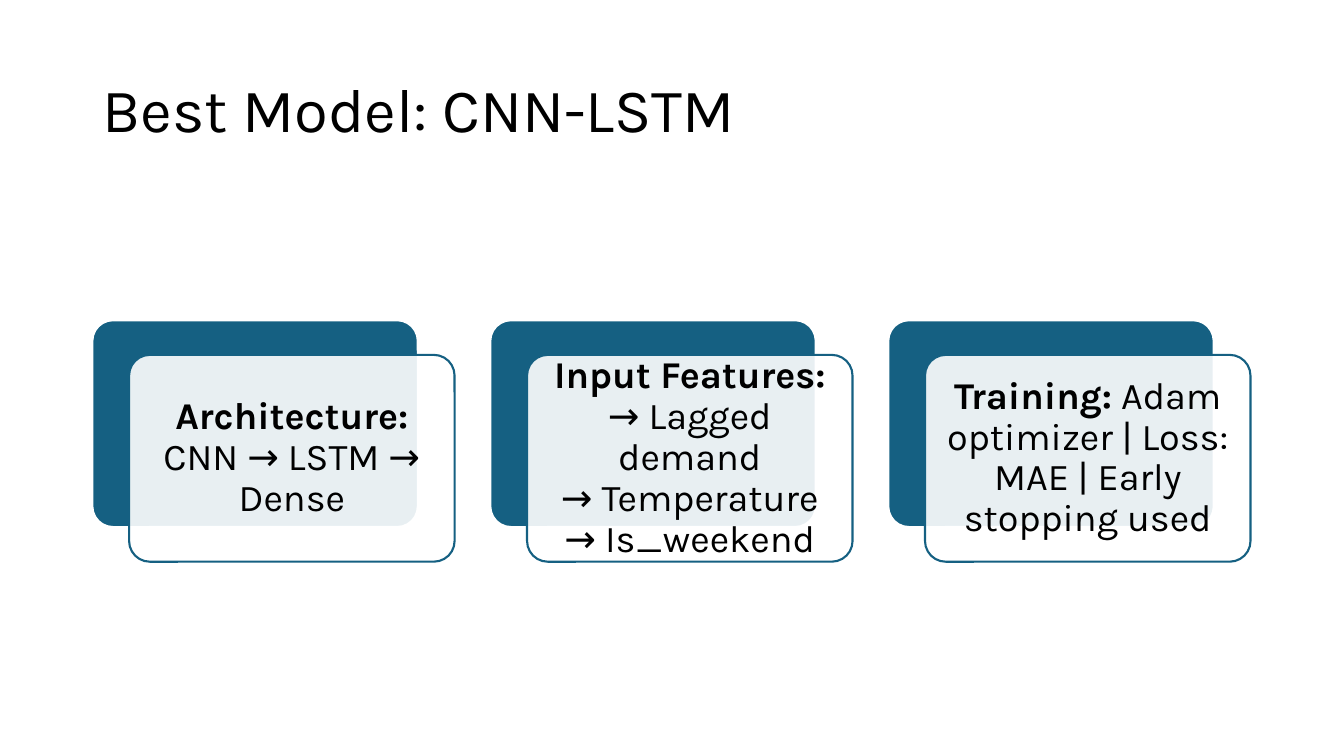
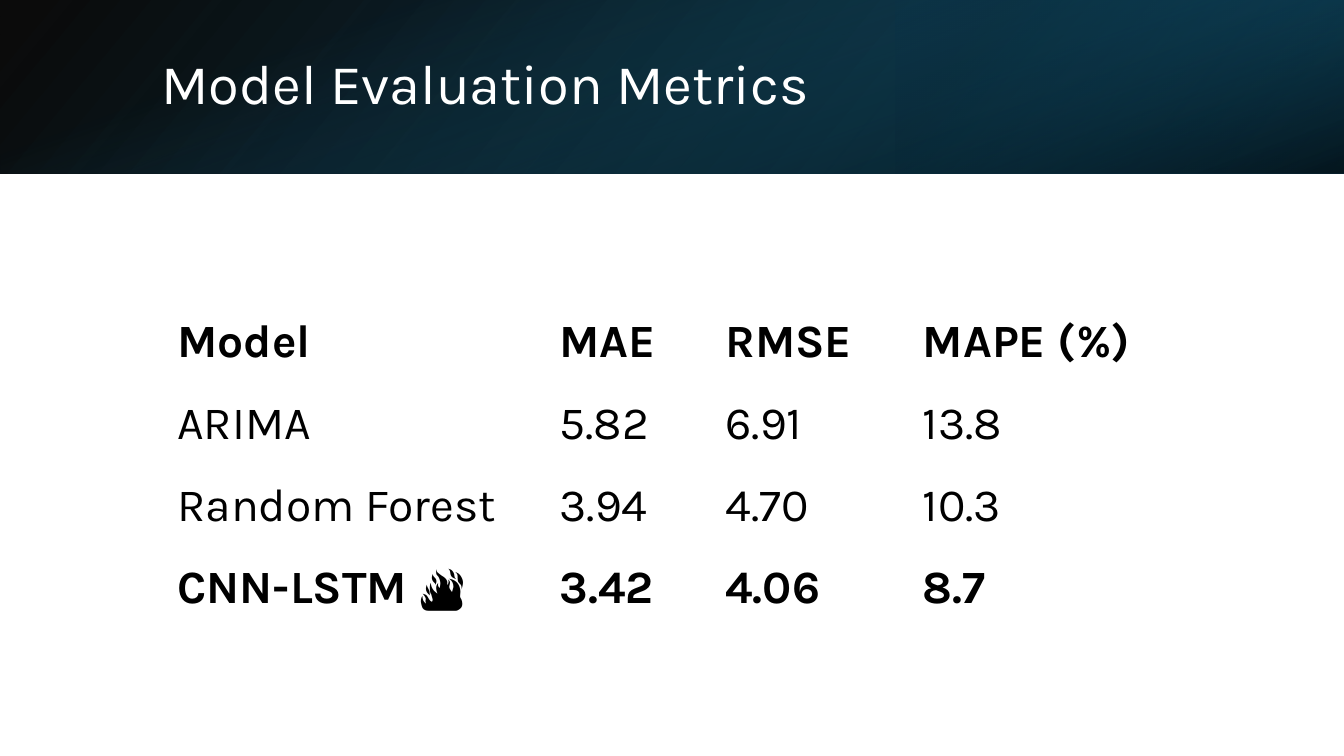
"""Build two slides on a forecasting model: its design cards and its metrics table."""
from lxml.etree import SubElement as Sub
from pptx import Presentation
from pptx.dml.color import RGBColor as Rgb
from pptx.enum.shapes import MSO_SHAPE as Shape
from pptx.enum.text import MSO_ANCHOR as Anchor, MSO_AUTO_SIZE as Fit, PP_ALIGN as Align
from pptx.oxml.ns import qn
from pptx.util import Pt

PX = 9525
WIDE, HIGH = 1280, 720
FONT = "Karla"
HUE = {"ink": "000000", "paper": "FFFFFF", "blue": "156082",
       "navy": "104862", "deep": "0B3041"}

CARDS = [
    [("Architecture:", True), (" CNN → LSTM → Dense", False)],
    [("Input Features:\n", True),
     ("→ Lagged demand\n→ Temperature\n→ Is_weekend", False)],
    [("Training:", True),
     (" Adam optimizer | Loss: MAE | Early stopping used", False)],
]
CARD = {"left": 88, "top": 305, "wide": 310, "high": 197,
        "step": 379, "dx": 35, "dy": 33}

BAND = 165
BANDS = [
    {"box": (0, 0, WIDE, BAND), "turn": 0, "flip": True, "angle": 140,
     "stops": [(0, "ink", 96), (100, "navy", 100)]},
    {"box": (853, 0, 427, BAND), "turn": 180, "flip": True, "angle": 320,
     "stops": [(19, "deep", 68), (100, "blue", 79)]},
    {"box": ((WIDE - BAND) / 2, (BAND - WIDE) / 2, BAND, WIDE), "turn": 90,
     "flip": False, "angle": 340,
     "stops": [(23, "blue", 0), (99, "ink", 74)]},
]

ROWS = [
    ("Model", "MAE", "RMSE", "MAPE (%)"),
    ("ARIMA", "5.82", "6.91", "13.8"),
    ("Random Forest", "3.94", "4.70", "10.3"),
    ("CNN-LSTM 🔥", "3.42", "4.06", "8.7"),
]
STRONG = {0, len(ROWS) - 1}
COLS = [364, 158, 188, 269]
ROW = 78


def px(*nums):
    return [int(num * PX) for num in nums]


def color(name):
    return Rgb.from_string(HUE[name])


def style(para, size, hue="ink", bold=None):
    font = para.font
    font.name, font.size, font.bold = FONT, Pt(size), bold
    font.color.rgb = color(hue)


def pad(item, side, edge):
    item.margin_left, item.margin_right = px(side, side)
    item.margin_top, item.margin_bottom = px(edge, edge)
    item.vertical_anchor = Anchor.MIDDLE


def head(slide, text, box, size, hue):
    title = slide.shapes.title
    title.left, title.top, title.width, title.height = px(*box)
    frame = title.text_frame
    frame.text = text
    frame.auto_size = Fit.NONE
    frame.vertical_anchor = Anchor.MIDDLE
    para = frame.paragraphs[0]
    para.alignment, para.line_spacing = Align.LEFT, 0.9
    style(para, size, hue)


def block(slide, kind, box):
    shape = slide.shapes.add_shape(kind, *px(*box))
    shape.shadow.inherit = False
    return shape


def fade(tint, part):
    Sub(tint, qn("a:alpha"), val=str(part * 1000))


def panel(slide, left, top, fill, line, part=100):
    shape = block(slide, Shape.ROUNDED_RECTANGLE,
                  (left, top, CARD["wide"], CARD["high"]))
    shape.adjustments[0] = 0.1
    shape.fill.solid()
    shape.fill.fore_color.rgb = color(fill)
    fade(shape._element.spPr.find(".//" + qn("a:srgbClr")), part)
    shape.line.color.rgb = color(line)
    shape.line.width = Pt(1.5)
    return shape


def card(slide, num, runs):
    left, top = CARD["left"] + num * CARD["step"], CARD["top"]
    panel(slide, left, top, "blue", "paper")
    front = panel(slide, left + CARD["dx"], top + CARD["dy"], "paper", "blue", 90)
    frame = front.text_frame
    frame.word_wrap = True
    pad(frame, 10, 10)
    para = frame.paragraphs[0]
    para.alignment, para.line_spacing = Align.CENTER, 0.9
    style(para, 27)
    for text, bold in runs:
        for spot, line in enumerate(text.split("\n")):
            if spot:
                para.add_line_break()
            if line:
                run = para.add_run()
                run.text, run.font.bold = line, bold


def band(slide, box, turn, flip, angle, stops):
    shape = block(slide, Shape.RECTANGLE, box)
    shape.rotation = turn
    shape.line.fill.background()
    shape.fill.gradient()
    props = shape._element.spPr
    if flip:
        props.find(qn("a:xfrm")).set("flipH", "1")
    grad = props.find(qn("a:gradFill"))
    for child in list(grad):
        grad.remove(child)
    grad.set("rotWithShape", "1")
    group = Sub(grad, qn("a:gsLst"))
    for place, hue, part in stops:
        stop = Sub(group, qn("a:gs"), pos=str(place * 1000))
        fade(Sub(stop, qn("a:srgbClr"), val=HUE[hue]), part)
    Sub(grad, qn("a:lin"), ang=str(angle * 60000), scaled="0")


def grid(slide):
    box = px(152, 287, sum(COLS), ROW * len(ROWS))
    table = slide.shapes.add_table(len(ROWS), len(COLS), *box).table
    table.first_row = table.horz_banding = False
    for col, wide in zip(table.columns, COLS):
        col.width = wide * PX
    for y, row in enumerate(ROWS):
        table.rows[y].height = ROW * PX
        for x, text in enumerate(row):
            cell = table.cell(y, x)
            cell.text = text
            cell.fill.background()
            pad(cell, 17, 9)
            style(cell.text_frame.paragraphs[0], 33, bold=y in STRONG)


def main():
    deck = Presentation()
    deck.slide_width, deck.slide_height = px(WIDE, HIGH)
    model, score = [deck.slides.add_slide(deck.slide_layouts[5]) for _ in range(2)]

    head(model, "Best Model: CNN-LSTM", (88, 38, 1104, 139), 44, "ink")
    for num, runs in enumerate(CARDS):
        card(model, num, runs)

    for item in BANDS:
        band(score, **item)
    head(score, "Model Evaluation Metrics", (144, 36, 1054, 92), 40, "paper")
    tree = score.shapes._spTree
    tree.append(score.shapes.title._element)
    grid(score)

    deck.save("out.pptx")


if __name__ == "__main__":
    main()
